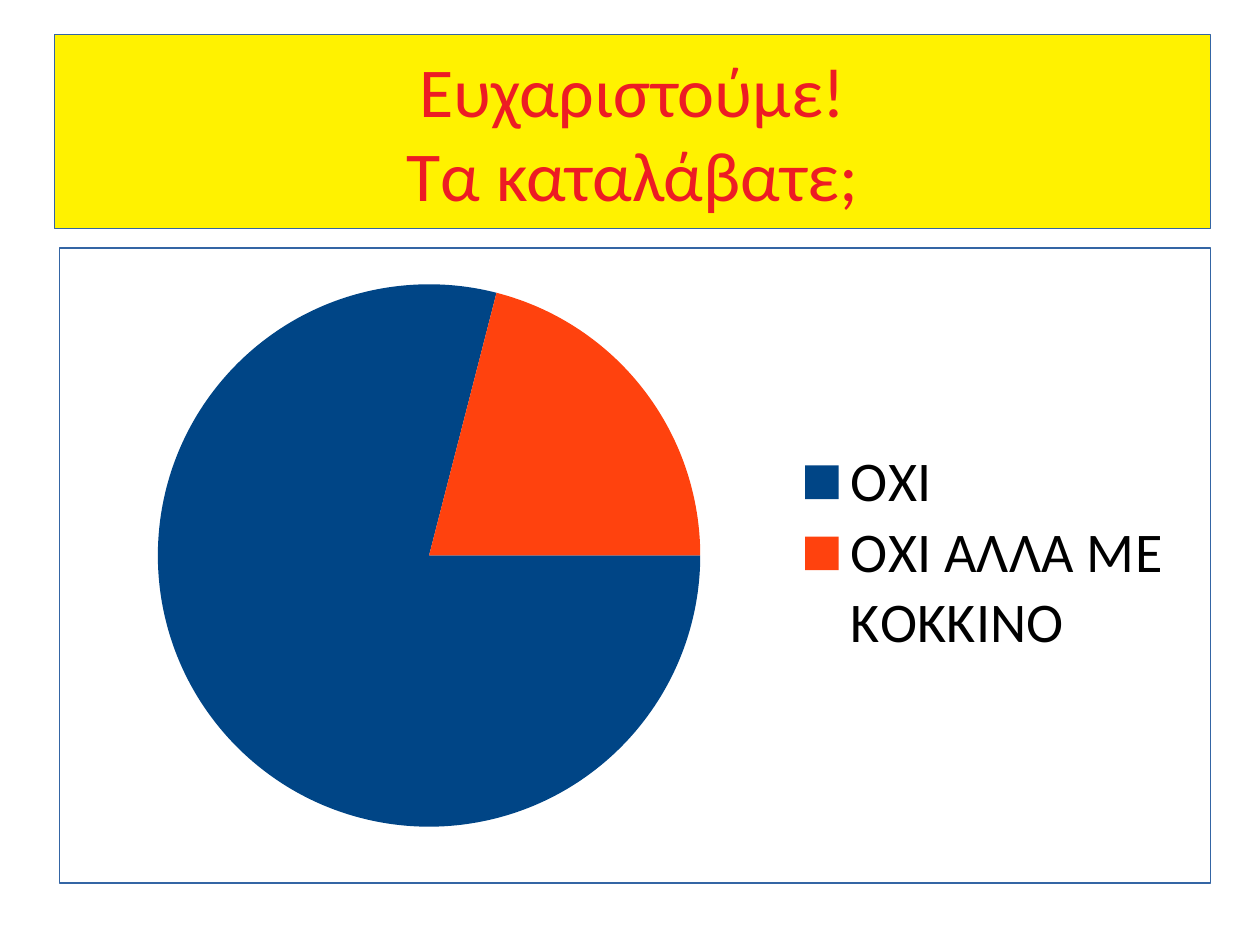
from dataclasses import dataclass

import pptx
import pptx.chart.data
import pptx.dml.color
import pptx.enum.chart
import pptx.enum.shapes
import pptx.enum.text
import pptx.oxml
import pptx.oxml.ns
import pptx.util

Pt = pptx.util.Pt
RGB = pptx.dml.color.RGBColor.from_string


@dataclass(frozen=True)
class Theme:
    font: str = "Calibri"
    title_size: float = 40
    legend_size: float = 32
    chart_size: float = 10
    title: str = "ED1C24"
    text: str = "000000"
    banner: str = "FFF200"
    panel: str = "FFFFFF"
    border: str = "3465A4"


@dataclass(frozen=True)
class Box:
    left: float
    top: float
    width: float
    height: float

    def lengths(self) -> tuple:
        return tuple(Pt(v) for v in (self.left, self.top, self.width, self.height))


@dataclass(frozen=True)
class Answer:
    label: str
    share: int
    color: str


THEME = Theme()
PANEL = Box(34.1, 141.7, 657.7, 362.9)
BANNER = Box(31.1, 19.8, 660.6, 110.8)
CHART = Box(45.4, 152.6, 634.3, 329.8)
# Parts of the chart, as fractions of its size
PIE_AREA = Box(0.07, 0.03, 0.49, 0.94)
LEGEND_AREA = Box(0.64, 0.31, 0.35, 0.37)
TITLE_LINES = ("Ευχαριστούμε!", "Τα καταλάβατε;")
ANSWERS = (
    Answer("ΟΧΙ", 79, "004586"),
    Answer("ΟΧΙ ΑΛΛΑ ΜΕ ΚΟΚΚΙΝΟ", 21, "FF420E"),
)


def style_font(font, size: float, color: str) -> None:
    font.name = THEME.font
    font.size = Pt(size)
    font.color.rgb = RGB(color)


def add_panel(slide, box: Box, fill: str):
    panel = slide.shapes.add_shape(
        pptx.enum.shapes.MSO_SHAPE.RECTANGLE, *box.lengths())
    panel.shadow.inherit = False
    panel.fill.solid()
    panel.fill.fore_color.rgb = RGB(fill)
    panel.line.color.rgb = RGB(THEME.border)
    panel.line.width = Pt(0)
    return panel


def add_title(slide) -> None:
    frame = add_panel(slide, BANNER, THEME.banner).text_frame
    frame.word_wrap = True
    frame.vertical_anchor = pptx.enum.text.MSO_ANCHOR.MIDDLE
    frame.text = "\n".join(TITLE_LINES)
    for line in frame.paragraphs:
        line.alignment = pptx.enum.text.PP_ALIGN.CENTER
        style_font(line.font, THEME.title_size, THEME.title)


def set_layout(element, index: int, area: Box, inner: bool = False) -> None:
    """Place a chart part by fractions of the chart's size."""
    for old in element.findall(pptx.oxml.ns.qn("c:layout")):
        element.remove(old)
    target = '<c:layoutTarget val="inner"/>' if inner else ""
    element.insert(index, pptx.oxml.parse_xml(
        f'<c:layout {pptx.oxml.ns.nsdecls("c")}><c:manualLayout>{target}'
        '<c:xMode val="edge"/><c:yMode val="edge"/>'
        f'<c:x val="{area.left}"/><c:y val="{area.top}"/>'
        f'<c:w val="{area.width}"/><c:h val="{area.height}"/>'
        '</c:manualLayout></c:layout>'))


def add_answer_pie(slide) -> None:
    answers = pptx.chart.data.CategoryChartData()
    answers.categories = [answer.label for answer in ANSWERS]
    answers.add_series("Series 1", [answer.share for answer in ANSWERS])
    chart = slide.shapes.add_chart(
        pptx.enum.chart.XL_CHART_TYPE.PIE, *CHART.lengths(), answers).chart
    chart.has_title = False
    style_font(chart.font, THEME.chart_size, THEME.text)

    # Slices, starting at three o'clock
    pie = chart.plots[0]
    pie.vary_by_categories = True
    for index, answer in enumerate(ANSWERS):
        slice_format = pie.series[0].points[index].format
        slice_format.fill.solid()
        slice_format.fill.fore_color.rgb = RGB(answer.color)
        slice_format.line.fill.background()
    pie_xml = chart.element.find(".//" + pptx.oxml.ns.qn("c:pieChart"))
    for old in pie_xml.findall(pptx.oxml.ns.qn("c:firstSliceAng")):
        pie_xml.remove(old)
    pie_xml.append(pptx.oxml.parse_xml(
        f'<c:firstSliceAng {pptx.oxml.ns.nsdecls("c")} val="90"/>'))
    set_layout(pie_xml.getparent(), 0, PIE_AREA, inner=True)

    # Legend
    chart.has_legend = True
    legend = chart.legend
    legend.position = pptx.enum.chart.XL_LEGEND_POSITION.RIGHT
    legend.include_in_layout = False
    style_font(legend.font, THEME.legend_size, THEME.text)
    legend_xml = chart.element.find(".//" + pptx.oxml.ns.qn("c:legend"))
    has_position = legend_xml.find(pptx.oxml.ns.qn("c:legendPos")) is not None
    set_layout(legend_xml, int(has_position), LEGEND_AREA)


def main() -> None:
    deck = pptx.Presentation()
    deck.slide_width, deck.slide_height = Pt(720), Pt(540)
    slide = deck.slides.add_slide(deck.slide_layouts[6])
    add_panel(slide, PANEL, THEME.panel)
    add_title(slide)
    add_answer_pie(slide)
    deck.save("out.pptx")


if __name__ == "__main__":
    main()
